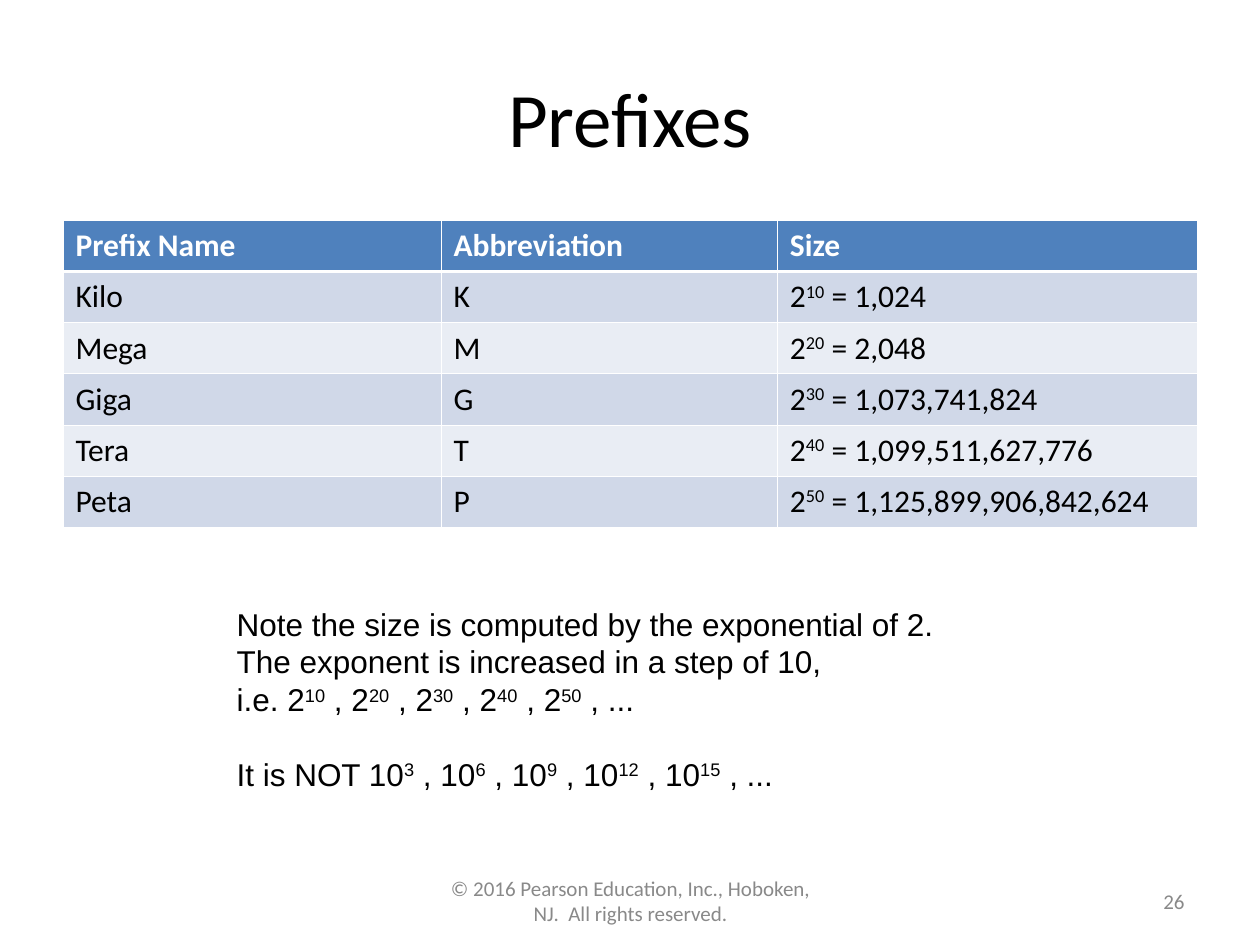
from dataclasses import dataclass

from lxml.etree import SubElement
from pptx import Presentation
from pptx.dml.color import RGBColor
from pptx.enum.text import MSO_ANCHOR, MSO_AUTO_SIZE, PP_ALIGN
from pptx.oxml.ns import qn
from pptx.util import Inches, Pt


@dataclass(frozen=True)
class Theme:
    """Fonts, type sizes and colours of the slide."""
    heading_font: str = "Calibri"
    note_font: str = "Arial"
    title_size: float = 44
    body_size: float = 18
    footer_size: float = 12
    ink: str = "000000"
    paper: str = "FFFFFF"
    muted: str = "898989"
    header: str = "4F81BD"
    bands: tuple = ("D0D8E8", "E9EDF4")
    thin_rule: float = 0.45
    thick_rule: float = 1.47


THEME = Theme()
TITLE = "Prefixes"
HEADINGS = ("Prefix Name", "Abbreviation", "Size")
PREFIXES = (
    ("Kilo", "K", "2^10^ = 1,024"),
    ("Mega", "M", "2^20^ = 2,048"),
    ("Giga", "G", "2^30^ = 1,073,741,824"),
    ("Tera", "T", "2^40^ = 1,099,511,627,776"),
    ("Peta", "P", "2^50^ = 1,125,899,906,842,624"),
)
COLUMN_WIDTHS = (3, 2.67, 3.33)
NOTE_LINES = (
    "Note the size is computed by the exponential of 2.",
    "The exponent is increased in a step of 10,",
    "i.e. 2^10^ , 2^20^ , 2^30^ , 2^40^ , 2^50^ , ...",
    "It is NOT 10^3^ , 10^6^ , 10^9^ , 10^12^ , 10^15^ , ...",
)
COPYRIGHT = "© 2016 Pearson Education, Inc., Hoboken, NJ.  All rights reserved."
PAGE_NUMBER = "26"


def write(paragraph, text, size, color, font=THEME.heading_font, bold=False, align=PP_ALIGN.LEFT):
    """Fill a paragraph, raising the parts that stand between carets."""
    paragraph.alignment = align
    paragraph.font.name = font
    paragraph.font.size = Pt(size)
    paragraph.font.bold = bold
    paragraph.font.color.rgb = RGBColor.from_string(color)
    for index, part in enumerate(text.split("^")):
        run = paragraph.add_run()
        run.text = part
        if index % 2:
            run.font._element.set("baseline", "30000")


def place(shape, box):
    """Move a shape to a box of left, top, width and height in inches."""
    shape.left, shape.top, shape.width, shape.height = map(Inches, box)


def rule_cell(cell, top, bottom):
    """Draw the four white borders of a table cell."""
    properties = cell._tc.get_or_add_tcPr()
    widths = {"L": THEME.thin_rule, "R": THEME.thin_rule, "T": top, "B": bottom}
    for side, width in widths.items():
        line = SubElement(properties, qn(f"a:ln{side}"), w=str(Pt(width)))
        SubElement(SubElement(line, qn("a:solidFill")), qn("a:srgbClr"), val=THEME.paper)


def add_title(slide, box):
    """Place the slide title."""
    title = slide.shapes.title
    place(title, box)
    title.text_frame.vertical_anchor = MSO_ANCHOR.MIDDLE
    write(title.text_frame.paragraphs[0], TITLE, THEME.title_size, THEME.ink, align=PP_ALIGN.CENTER)


def add_prefix_table(slide, box):
    """Place the banded table of prefixes."""
    rows = (HEADINGS, *PREFIXES)
    table = slide.shapes.add_table(len(rows), len(HEADINGS), *map(Inches, box)).table
    for column, width in zip(table.columns, COLUMN_WIDTHS):
        column.width = Inches(width)
    for row_index, values in enumerate(rows):
        is_header = row_index == 0
        fill = THEME.header if is_header else THEME.bands[(row_index - 1) % 2]
        top = THEME.thick_rule if row_index == 1 else THEME.thin_rule
        bottom = THEME.thick_rule if is_header else THEME.thin_rule
        for column_index, value in enumerate(values):
            cell = table.cell(row_index, column_index)
            rule_cell(cell, top, bottom)
            cell.fill.solid()
            cell.fill.fore_color.rgb = RGBColor.from_string(fill)
            write(cell.text_frame.paragraphs[0], value, THEME.body_size,
                  THEME.paper if is_header else THEME.ink, bold=is_header)


def add_note(slide, box):
    """Place the note on exponents, with a gap before its last line."""
    frame = slide.shapes.add_textbox(*map(Inches, box)).text_frame
    frame.word_wrap = False
    frame.auto_size = MSO_AUTO_SIZE.SHAPE_TO_FIT_TEXT
    for index, line in enumerate(NOTE_LINES):
        paragraph = frame.add_paragraph() if index else frame.paragraphs[0]
        write(paragraph, line, THEME.body_size, THEME.ink, THEME.note_font)
    paragraph.space_before = Pt(21)


def add_footer(slide, box, text, align):
    """Place one footer text."""
    frame = slide.shapes.add_textbox(*map(Inches, box)).text_frame
    frame.word_wrap = True
    frame.vertical_anchor = MSO_ANCHOR.MIDDLE
    write(frame.paragraphs[0], text, THEME.footer_size, THEME.muted, align=align)


def main():
    """Build and save the slide."""
    presentation = Presentation()
    presentation.slide_width, presentation.slide_height = Inches(10), Inches(7.5)
    slide = presentation.slides.add_slide(presentation.slide_layouts[5])
    add_title(slide, (0.5, 0.3, 9, 1.25))
    add_prefix_table(slide, (0.5, 1.75, 9, 2.43))
    add_note(slide, (1.78, 4.75, 5.73, 1.6))
    add_footer(slide, (7.17, 6.95, 2.33, 0.4), PAGE_NUMBER, PP_ALIGN.RIGHT)
    add_footer(slide, (3.42, 6.95, 3.17, 0.4), COPYRIGHT, PP_ALIGN.CENTER)
    presentation.save("out.pptx")


if __name__ == "__main__":
    main()
